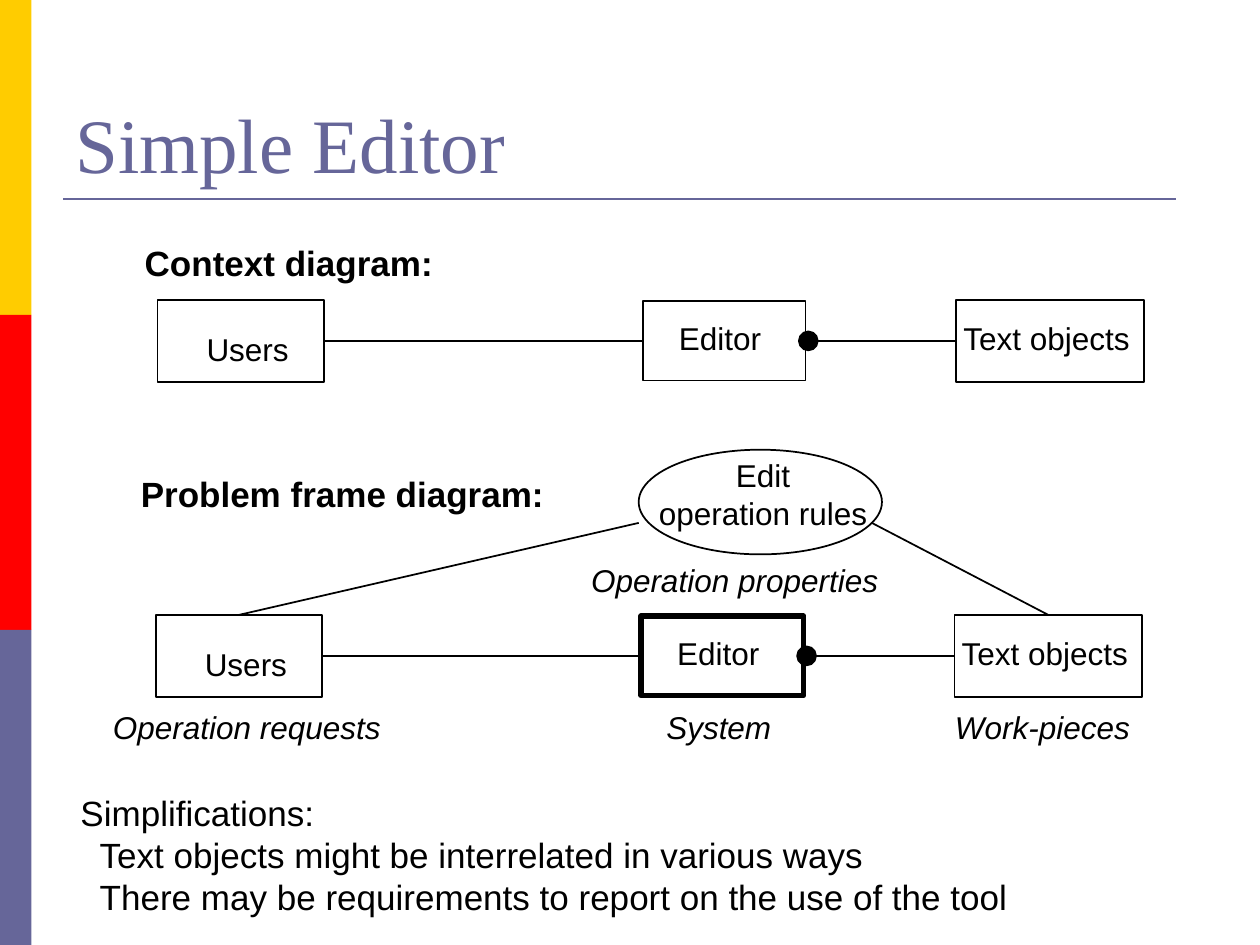
import pptx
import pptx.util
import pptx.dml.color
import pptx.enum.shapes
import pptx.enum.text
import pptx.oxml

Pt = pptx.util.Pt
RGBColor = pptx.dml.color.RGBColor
SHAPE = pptx.enum.shapes.MSO_SHAPE
ALIGN = pptx.enum.text.PP_ALIGN
ANCHOR = pptx.enum.text.MSO_ANCHOR

BLACK = RGBColor(0x00, 0x00, 0x00)
SLATE = RGBColor(0x66, 0x66, 0x99)
YELLOW = RGBColor(0xFF, 0xCC, 0x00)
RED = RGBColor(0xFF, 0x00, 0x00)

BAND_COLOURS = [YELLOW, RED, SLATE]
BAND_SIZE = (18, 180)

# Both diagrams share one row of boxes: shift right, shift down, editor line width
ROWS = {"context": (0, 0, 1), "problem": (-1, 180, 3)}
BOXES = {
    "users": (90, 171.4, 95, 46.8),
    "objects": (546.4, 171.4, 107.3, 46.8),
    "editor": (367.3, 172.1, 93, 45.4),
}
DOT = (456.5, 189.4, 10.8, 10.8)
BOX_LABELS = [
    ("Users", (110.9, 184.9, 61.2, 28.8)),
    ("Editor", (380.9, 178.6, 61.2, 28.8)),
    ("Text objects", (542.2, 178.6, 111.6, 28.8)),
]
RULES_OVAL = (365, 257, 139, 59.8)
RULES_LEFT, RULES_RIGHT = (365, 298.8), (498.2, 298.8)

HEADING = {"size": Pt(20), "bold": True}
ROLE = {"size": Pt(18), "italic": True}
LABELS = [
    (["Context diagram:"], (75.6, 134.6, 179.3, 31.7), HEADING, ALIGN.LEFT),
    (["Problem frame diagram:"], (73.4, 266.4, 244.8, 31.7), HEADING, ALIGN.LEFT),
    (["Edit", "operation rules"], (362.2, 257, 147.6, 50.4), {}, ALIGN.CENTER),
    (["Operation properties"], (308.2, 316.8, 223.2, 28.8), ROLE, ALIGN.CENTER),
    (["Operation requests"], (55.4, 401, 171.4, 28.8), ROLE, ALIGN.CENTER),
    (["System"], (373.7, 401, 74.2, 28.8), ROLE, ALIGN.LEFT),
    (["Work-pieces"], (538.6, 401, 114.5, 28.8), ROLE, ALIGN.LEFT),
]
SIMPLIFICATIONS = [
    "Simplifications:",
    "Text objects might be interrelated in various ways",
    "There may be requirements to report on the use of the tool",
]
NOTES_PLACE = (38.9, 448.6, 600, 79.2)
NOTES_INDENT = 11


def add_outline(page, kind, place, fill=None, line=BLACK, width=1):
    shape = page.shapes.add_shape(kind, *map(Pt, place))
    shape.shadow.inherit = False
    if fill is None:
        shape.fill.background()
    else:
        shape.fill.solid()
        shape.fill.fore_color.rgb = fill
    if line is None:
        shape.line.fill.background()
    else:
        shape.line.color.rgb = line
        shape.line.width = Pt(width)
    return shape


def is_point(target):
    return isinstance(target[0], (int, float))


def add_line(page, start, end, colour=BLACK, width=1):
    """Each end is an (x, y) point or a (shape, side) pair to join."""
    points = [target if is_point(target) else (0, 0) for target in (start, end)]
    line = page.shapes.add_connector(
        pptx.enum.shapes.MSO_CONNECTOR.STRAIGHT, *map(Pt, points[0] + points[1]))
    for target, join in ((start, line.begin_connect), (end, line.end_connect)):
        if not is_point(target):
            join(*target)
    line.line.color.rgb = colour
    line.line.width = Pt(width)
    line._element.spPr.append(pptx.oxml.parse_xml(
        '<a:effectLst xmlns:a="http://schemas.openxmlformats.org/drawingml/2006/main"/>'))


def add_text(page, lines, place, style=None, align=ALIGN.LEFT,
             colour=BLACK, wrap=False, anchor=ANCHOR.TOP):
    box = page.shapes.add_textbox(*map(Pt, place))
    frame = box.text_frame
    frame.word_wrap = wrap
    frame.vertical_anchor = anchor
    font_values = {"size": Pt(18), "name": "Arial", **(style or {})}
    for number, words in enumerate(lines):
        para = frame.add_paragraph() if number else frame.paragraphs[0]
        para.alignment = align
        span = para.add_run()
        span.text = words
        span.font.color.rgb = colour
        for name, value in font_values.items():
            setattr(span.font, name, value)
    return box


def add_row(page, shift_x, shift_y, editor_width):
    def moved(place):
        return (place[0] + shift_x, place[1] + shift_y, *place[2:])

    boxes = {name: add_outline(page, SHAPE.RECTANGLE, moved(place),
                               width=editor_width if name == "editor" else 1)
             for name, place in BOXES.items()}
    for words, place in BOX_LABELS:
        add_text(page, [words], moved(place), align=ALIGN.CENTER)
    add_line(page, (boxes["users"], 3), (boxes["editor"], 1))
    add_line(page, (boxes["objects"], 1), (boxes["editor"], 3))
    add_outline(page, SHAPE.OVAL, moved(DOT), fill=BLACK)
    return boxes


def main():
    deck = pptx.Presentation()
    deck.slide_width, deck.slide_height = Pt(720), Pt(540)
    page = deck.slides.add_slide(deck.slide_layouts[6])

    band_width, band_height = BAND_SIZE
    for number, colour in enumerate(BAND_COLOURS):
        add_outline(page, SHAPE.RECTANGLE,
                    (0, number * band_height, band_width, band_height), colour, None)
    add_line(page, (36, 113.8), (671.8, 113.8), SLATE, 1.5)
    add_text(page, ["Simple Editor"], (36, 21.6, 648, 90),
             {"size": Pt(44), "name": "Times New Roman"},
             colour=SLATE, wrap=True, anchor=ANCHOR.BOTTOM)

    rows = {name: add_row(page, *values) for name, values in ROWS.items()}
    add_outline(page, SHAPE.OVAL, RULES_OVAL)
    add_line(page, (rows["problem"]["users"], 0), RULES_LEFT)
    add_line(page, RULES_RIGHT, (rows["problem"]["objects"], 0))
    for lines, place, style, align in LABELS:
        add_text(page, lines, place, style, align)

    notes = add_text(page, SIMPLIFICATIONS, NOTES_PLACE, {"size": Pt(20)}, wrap=True)
    for para in notes.text_frame.paragraphs[1:]:
        para._p.get_or_add_pPr().set("marL", str(Pt(NOTES_INDENT)))

    deck.save("out.pptx")


if __name__ == "__main__":
    main()
